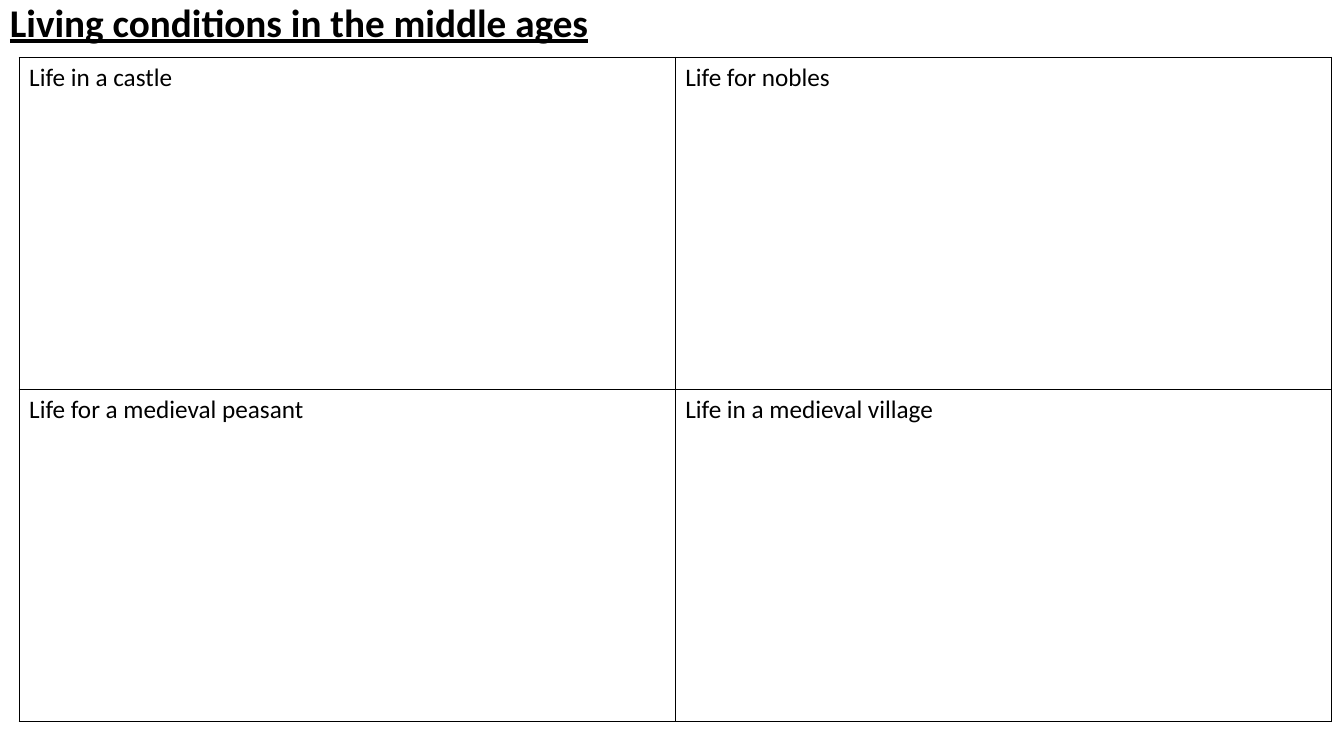
"""Build a worksheet slide with a title and a grid of medieval life topics."""
from dataclasses import dataclass

from lxml.etree import SubElement
from pptx import Presentation
from pptx.dml.color import RGBColor
from pptx.enum.text import MSO_ANCHOR
from pptx.oxml.ns import qn
from pptx.util import Pt


@dataclass(frozen=True)
class Theme:
    font: str = "Calibri"
    ink: str = "000000"
    title_size: int = 28
    cell_size: int = 18
    border_width: int = 1


THEME = Theme()
TITLE = "Living conditions in the middle ages"
TOPICS = [
    ["Life in a castle", "Life for nobles"],
    ["Life for a medieval peasant", "Life in a medieval village"],
]


def style_text(paragraph, size, emphasis=False):
    for run in paragraph.runs:
        run.font.name = THEME.font
        run.font.size = Pt(size)
        run.font.color.rgb = RGBColor.from_string(THEME.ink)
        run.font.bold = emphasis
        run.font.underline = emphasis


def add_title(slide, text, left, top, width, height):
    text_frame = slide.shapes.add_textbox(
        Pt(left), Pt(top), Pt(width), Pt(height)
    ).text_frame
    text_frame.word_wrap = True
    text_frame.vertical_anchor = MSO_ANCHOR.MIDDLE
    text_frame.text = text
    paragraph = text_frame.paragraphs[0]
    paragraph.line_spacing = 0.9
    style_text(paragraph, THEME.title_size, emphasis=True)


def add_borders(cell):
    properties = cell._tc.get_or_add_tcPr()
    for side in ("a:lnL", "a:lnR", "a:lnT", "a:lnB"):
        line = SubElement(properties, qn(side), w=str(Pt(THEME.border_width)))
        fill = SubElement(line, qn("a:solidFill"))
        SubElement(fill, qn("a:srgbClr"), val=THEME.ink)


def add_topic_grid(slide, topics, left, top, width, height):
    table = slide.shapes.add_table(
        len(topics), len(topics[0]), Pt(left), Pt(top), Pt(width), Pt(height)
    ).table
    table.first_row = False
    table.horz_banding = False
    for row_index, row in enumerate(topics):
        for column_index, topic in enumerate(row):
            cell = table.cell(row_index, column_index)
            cell.text = topic
            style_text(cell.text_frame.paragraphs[0], THEME.cell_size)
            add_borders(cell)
            cell.fill.background()


def main():
    presentation = Presentation()
    presentation.slide_width = Pt(960)
    presentation.slide_height = Pt(540)
    slide = presentation.slides.add_slide(presentation.slide_layouts[6])
    add_title(slide, TITLE, 0, -34.8, 828, 104.4)
    add_topic_grid(slide, TOPICS, 13.7, 41, 937.4, 474.4)
    presentation.save("out.pptx")


if __name__ == "__main__":
    main()
